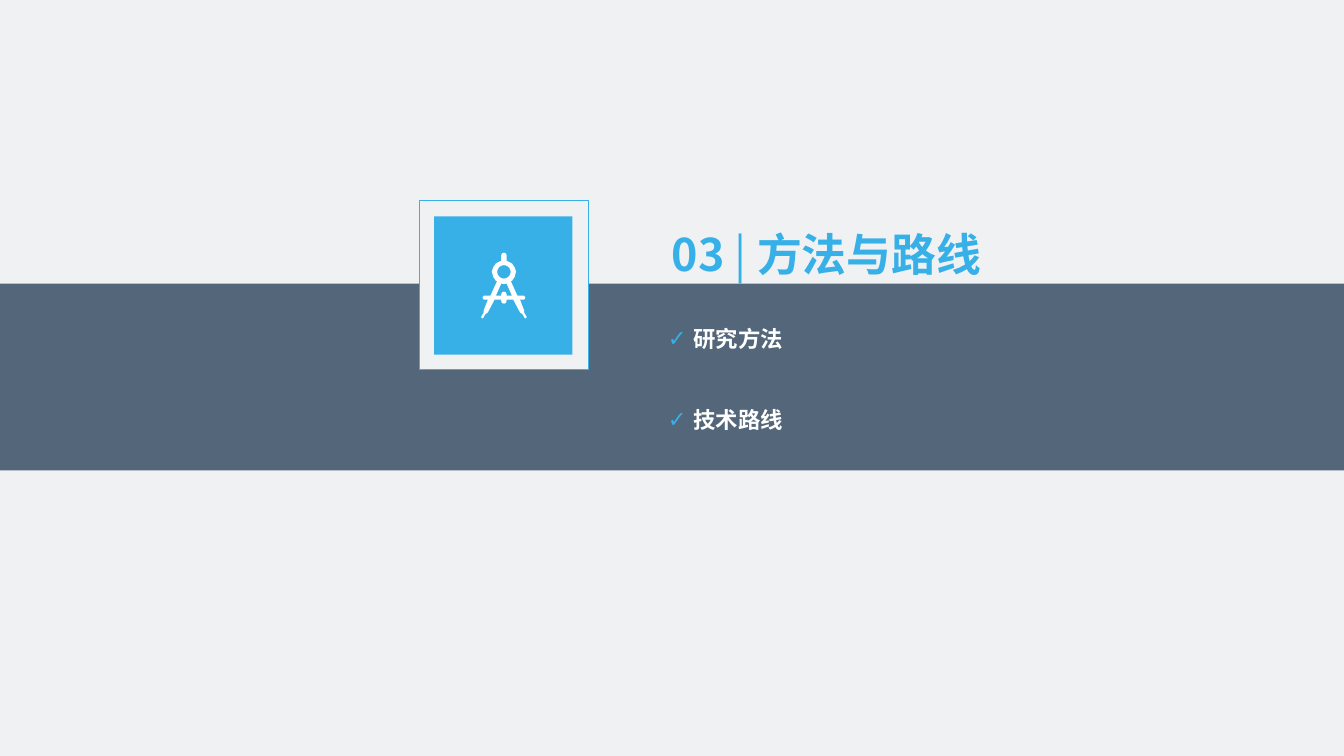
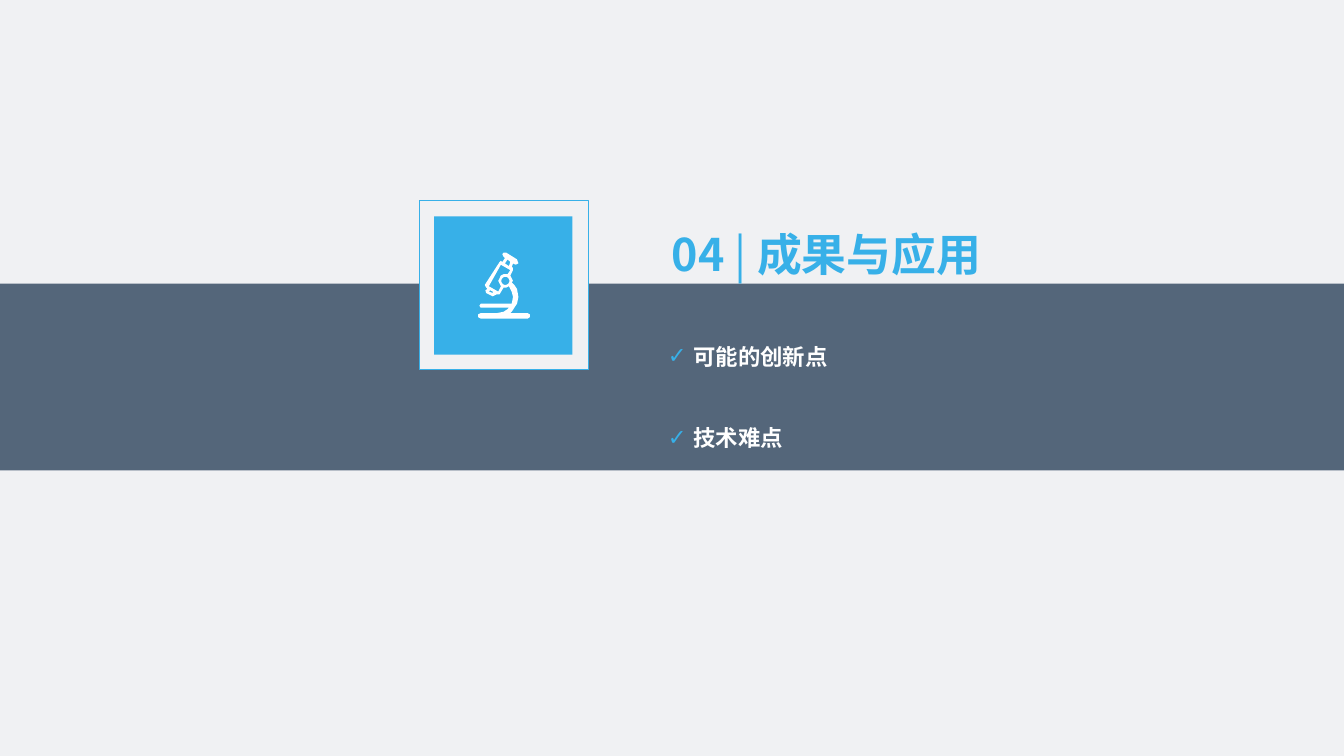
from dataclasses import dataclass
from math import cos, pi, sin

from lxml import etree
from pptx import Presentation
from pptx.dml.color import RGBColor
from pptx.enum import shapes, text
from pptx.oxml.ns import qn
from pptx.util import Inches, Pt


@dataclass(frozen=True)
class Theme:
    paper: str = "F0F1F3"
    slate: str = "54667A"
    blue: str = "37B0E8"
    white: str = "FFFFFF"
    title_font: str = "Noto Sans CJK SC"
    body_font: str = "Roboto Condensed"
    title_size: int = 24
    body_size: int = 12
    item_gap: int = 22
    line_spacing: float = 1.5


THEME = Theme()
WIDTH = 10
HEIGHT = WIDTH * 9 / 16
BAND_BOX = (0, 2.11, WIDTH, 1.39)
BADGE_BOX = (3.12, 1.49, 1.26, 1.26)
TITLE_BOX = (5, 1.49, 2.6, 0.53)
ICON_UNIT = 914.4


def mirrored(half, width):
    return half + [(width - x, y) for x, y in reversed(half)]


def circle(cx, cy, radius, steps=24):
    angles = [2 * pi * i / steps for i in range(steps)]
    return [(cx + radius * cos(a), cy + radius * sin(a)) for a in angles]


COMPASS = [
    mirrored([
        (17, 0), (15.5, 0.6), (15, 2), (15, 6), (11, 8), (9, 11), (8, 14),
        (9, 18), (11, 21), (12, 21), (7, 32), (2, 32), (1, 33.5), (2, 35),
        (5, 35), (2, 43), (2, 44.5), (0.5, 47), (0, 48), (1, 49), (2, 48),
        (3, 46), (5, 44.5), (10, 35), (15, 35), (15, 36), (15.6, 37.5), (17, 38),
    ], 34),
    mirrored([(17, 29), (15.6, 29.5), (15, 31), (15, 32), (11, 32),
              (15, 23), (17, 23.3)], 34),
    circle(17, 14.3, 5),
]

MICROSCOPE = [
    [(25, 22), (27, 24), (29, 27), (30, 33), (29, 38), (25, 44), (24, 45),
     (37, 45), (38.5, 46), (38.5, 48), (37, 49), (2, 49), (0, 48), (0, 46),
     (2, 45), (14, 45), (19, 44), (22, 42), (23, 41), (2, 41), (1, 39.5),
     (2, 38), (25, 38), (26, 33), (25, 29), (23, 25), (21, 26), (19, 26),
     (16, 31), (14, 31), (12, 32), (11, 32.5), (6, 30), (5.5, 28), (7, 27),
     (6, 26), (5, 24), (16, 7), (17, 6), (18, 7), (20, 4), (19, 3),
     (18, 1.2), (19, 0), (21, 0), (29, 5), (30, 8), (28, 9), (26, 8),
     (25, 11), (26, 11), (26, 13), (24, 17), (26, 21)],
    [(24, 7), (22, 5), (20, 8), (23, 10)],
    [(22, 16), (24, 13), (17, 9), (8, 25), (15, 29), (17, 25), (15, 21),
     (17, 17), (19, 16)],
    circle(20.3, 21, 3),
    [(9, 28), (8, 29), (11, 30), (11, 29)],
]


def rgb(value):
    return RGBColor.from_string(value)


def add_rect(s, box, fill, line=None):
    sp = s.shapes.add_shape(shapes.MSO_SHAPE.RECTANGLE, *map(Inches, box))
    sp.shadow.inherit = False
    sp.fill.solid()
    sp.fill.fore_color.rgb = rgb(fill)
    if line:
        sp.line.color.rgb = rgb(line)
        sp.line.width = Pt(0.5)
    else:
        sp.line.fill.background()


def add_text_frame(s, box):
    tf = s.shapes.add_textbox(*map(Inches, box)).text_frame
    tf.word_wrap = True
    tf.margin_left = tf.margin_top = tf.margin_right = tf.margin_bottom = 0
    tf.auto_size = text.MSO_AUTO_SIZE.SHAPE_TO_FIT_TEXT
    return tf


def add_run(p, words, font, size, color, bold):
    r = p.add_run()
    r.text = words
    r.font.name = font
    r.font.size = Pt(size)
    r.font.bold = bold
    r.font.color.rgb = rgb(color)


def add_check_bullet(p):
    pPr = p._p.get_or_add_pPr()
    hang = Inches(0.19)
    pPr.set("marL", str(hang))
    pPr.set("indent", str(-hang))
    color = etree.SubElement(pPr, qn("a:buClr"))
    etree.SubElement(color, qn("a:srgbClr")).set("val", THEME.blue)
    etree.SubElement(pPr, qn("a:buFont")).set("typeface", THEME.body_font)
    etree.SubElement(pPr, qn("a:buChar")).set("char", "✓")


def add_icon(s, left, top, contours):
    outline, *holes = [[(x * 10, y * 10) for x, y in c] for c in contours]
    builder = s.shapes.build_freeform(*outline[0], scale=ICON_UNIT)
    builder.add_line_segments(outline[1:], close=True)
    for hole in holes:
        builder.move_to(*hole[0])
        builder.add_line_segments(hole[1:], close=True)
    sp = builder.convert_to_shape(Inches(left), Inches(top))
    sp.shadow.inherit = False
    sp.fill.solid()
    sp.fill.fore_color.rgb = rgb(THEME.white)
    sp.line.fill.background()


def add_badge(s, box, contours):
    left, top, width, height = box
    tile = 1.03
    add_rect(s, box, THEME.paper, THEME.blue)
    add_rect(s, (left + 0.11, top + 0.12, tile, tile), THEME.blue)
    icon_width = max(x for x, y in contours[0]) / 100
    add_icon(s, left + (width - icon_width) / 2, top + 0.39, contours)


def add_title(s, box, number, title):
    p = add_text_frame(s, box).paragraphs[0]
    p.line_spacing = THEME.line_spacing
    for words, bold in ((f"{number} ", True), ("| ", False), (title, True)):
        add_run(p, words, THEME.title_font, THEME.title_size, THEME.blue, bold)


def add_topics(s, box, topics):
    tf = add_text_frame(s, box)
    for i, topic in enumerate(topics):
        p = tf.add_paragraph() if i else tf.paragraphs[0]
        p.line_spacing = THEME.line_spacing
        if i:
            p.space_before = Pt(THEME.item_gap)
        add_check_bullet(p)
        add_run(p, topic, THEME.body_font, THEME.body_size, THEME.white, True)


def add_section_slide(prs, number, title, topics, topics_top, contours):
    s = prs.slides.add_slide(prs.slide_layouts[6])
    s.background.fill.solid()
    s.background.fill.fore_color.rgb = rgb(THEME.paper)
    add_rect(s, BAND_BOX, THEME.slate)
    add_badge(s, BADGE_BOX, contours)
    add_topics(s, (4.97, topics_top, 1.56, 1.17), topics)
    add_title(s, TITLE_BOX, number, title)


def main():
    prs = Presentation()
    prs.slide_width, prs.slide_height = Inches(WIDTH), Inches(HEIGHT)
    add_section_slide(prs, "03", "方法与路线", ["研究方法", "技术路线"], 2.32, COMPASS)
    add_section_slide(prs, "04", "成果与应用", ["可能的创新点", "技术难点"], 2.45, MICROSCOPE)
    prs.save("out.pptx")


if __name__ == "__main__":
    main()
